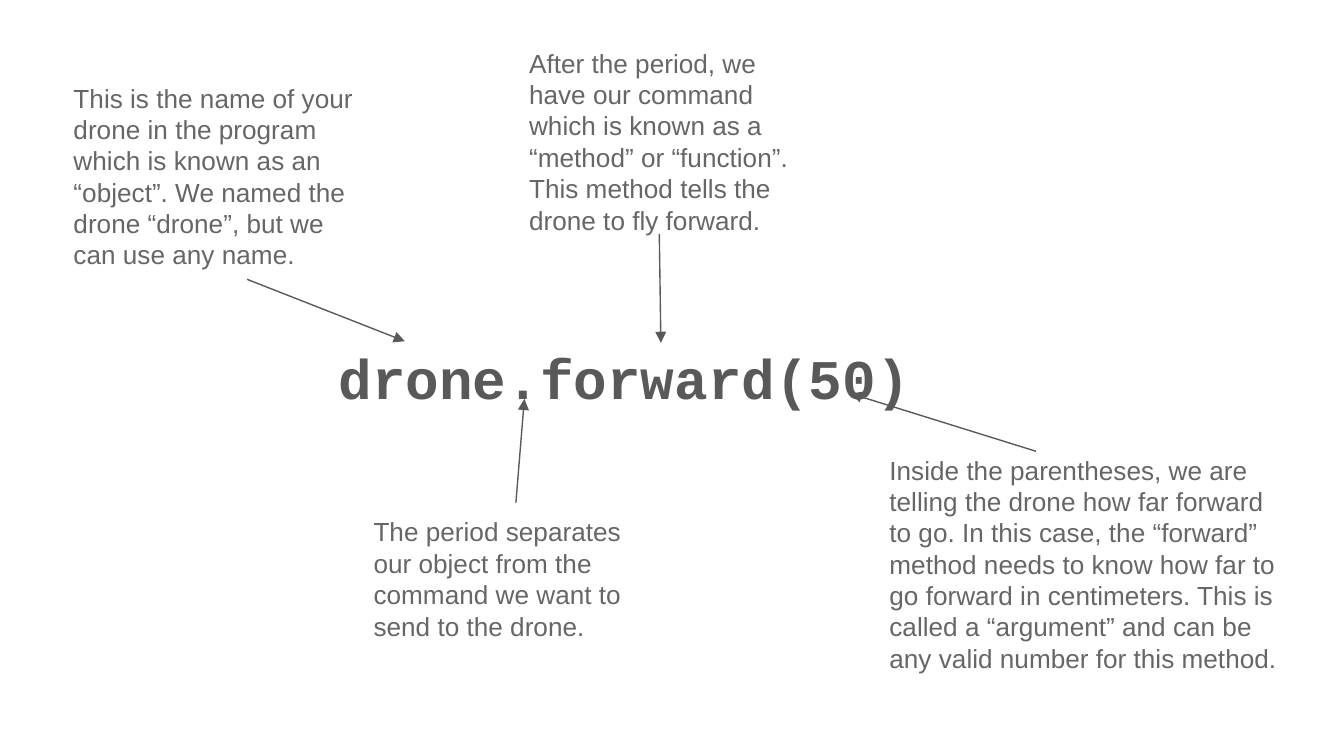
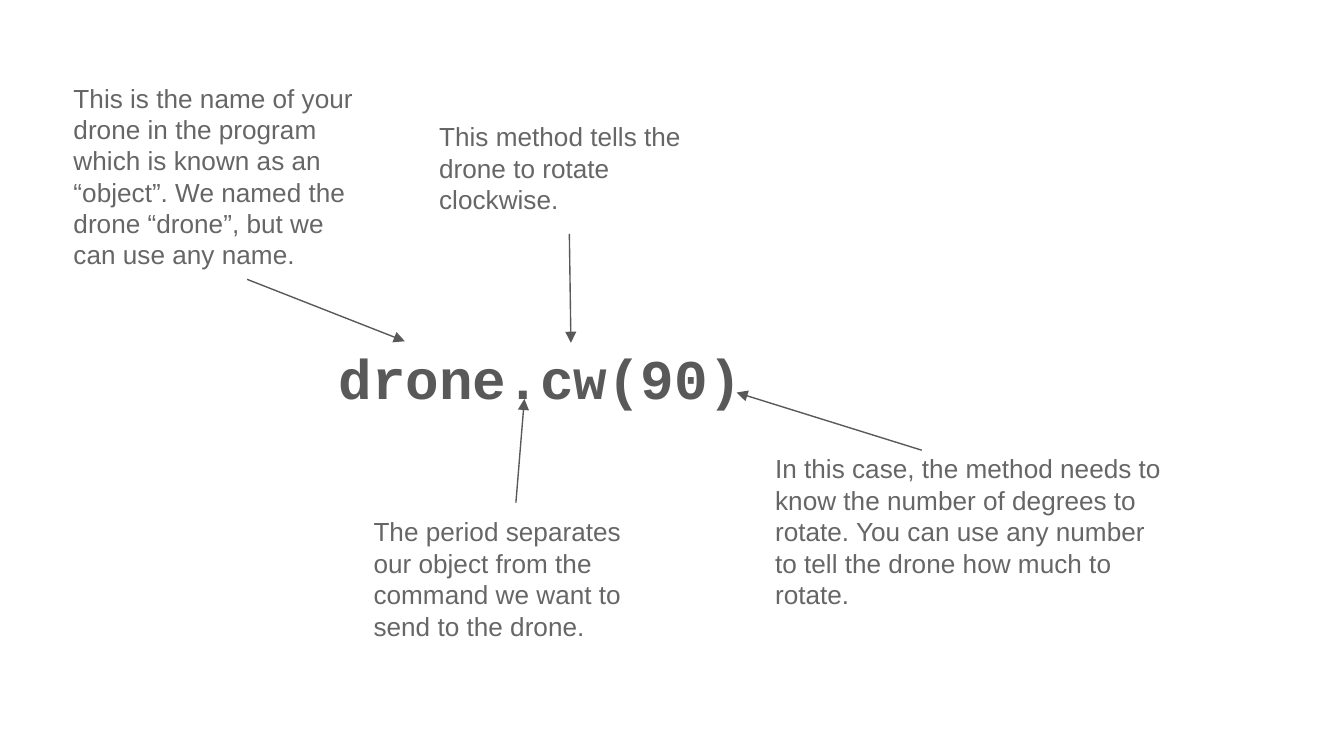
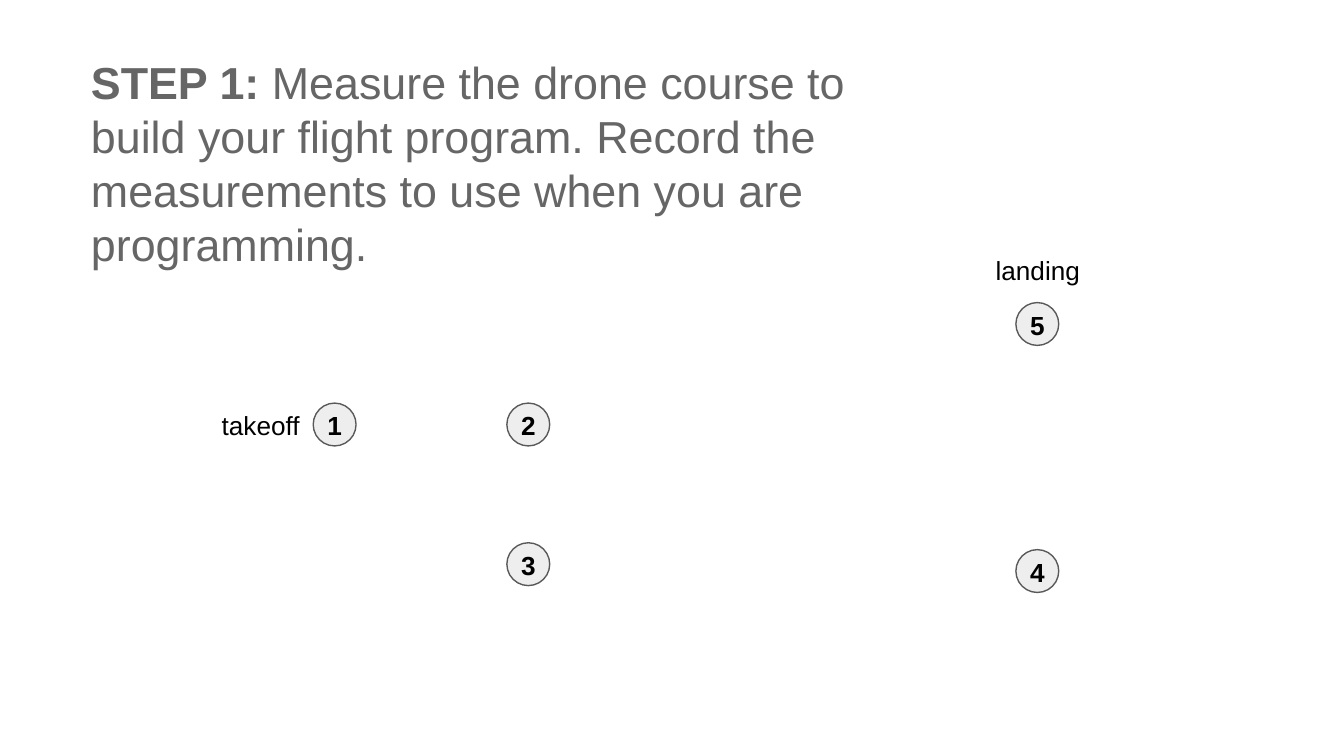
from lxml import etree
from pptx import Presentation
from pptx.dml.color import RGBColor
from pptx.enum.shapes import MSO_CONNECTOR, MSO_SHAPE
from pptx.enum.text import MSO_ANCHOR, PP_ALIGN
from pptx.oxml.ns import qn
from pptx.util import Cm, Pt

LEFT, CENTER = PP_ALIGN.LEFT, PP_ALIGN.CENTER
TOP, MIDDLE = MSO_ANCHOR.TOP, MSO_ANCHOR.MIDDLE
OVAL = MSO_SHAPE.OVAL
STRAIGHT = MSO_CONNECTOR.STRAIGHT

DARK, GRAY, PALE, BLACK = "595959", "666666", "EEEEEE", "000000"
SANS, MONO = "Arial", "Courier New"
INSET = 0.25
NOTE_W, NOTE_H = 5.89, 3.23
ARGUMENT_W, ARGUMENT_H = 7.87, 5.03
LABEL_W, LABEL_H = 2.29, 1.07
MARKER = 0.81

OBJECT_NOTE = (
    "This is the name of your drone in the program which is known as an "
    "“object”. We named the drone “drone”, but we can use any name."
)
PERIOD_NOTE = (
    "The period separates our object from the command we want to send to the drone."
)
FORWARD_NOTE = (
    "After the period, we have our command which is known as a “method” or "
    "“function”. This method tells the drone to fly forward."
)
DISTANCE_NOTE = (
    "Inside the parentheses, we are telling the drone how far forward to go. "
    "In this case, the “forward” method needs to know how far to go forward in "
    "centimeters. This is called a “argument” and can be any valid number for "
    "this method."
)
ROTATE_NOTE = "This method tells the drone to rotate clockwise."
DEGREES_NOTE = (
    "In this case, the method needs to know the number of degrees to rotate. "
    "You can use any number to tell the drone how much to rotate."
)
COURSE_POINTS = [(5.92, 7.62), (9.58, 7.62), (9.58, 10.26), (19.2, 10.39), (19.2, 5.72)]


def rgb(value):
    return RGBColor.from_string(value)


def add_text(s, x, y, w, h, text, size=14, color=GRAY, font=SANS, bold=False,
             align=LEFT, anchor=TOP):
    tf = s.shapes.add_textbox(Cm(x), Cm(y), Cm(w), Cm(h)).text_frame
    tf.word_wrap = True
    tf.vertical_anchor = anchor
    tf.margin_left = tf.margin_right = tf.margin_top = tf.margin_bottom = Cm(INSET)
    p = tf.paragraphs[0]
    p.text = text
    p.alignment = align
    p.font.name = font
    p.font.size = Pt(size)
    p.font.bold = bold
    p.font.color.rgb = rgb(color)
    return p


def add_arrow(s, x1, y1, x2, y2):
    line = s.shapes.add_connector(STRAIGHT, Cm(x1), Cm(y1), Cm(x2), Cm(y2))
    line.line.color.rgb = rgb(DARK)
    line.line.width = Pt(0.75)
    etree.SubElement(line.line._get_or_add_ln(), qn("a:tailEnd"), type="triangle")
    etree.SubElement(line._element.spPr, qn("a:effectLst"))


def add_marker(s, x, y, number):
    sp = s.shapes.add_shape(OVAL, Cm(x), Cm(y), Cm(MARKER), Cm(MARKER))
    sp.shadow.inherit = False
    sp.fill.solid()
    sp.fill.fore_color.rgb = rgb(PALE)
    sp.line.color.rgb = rgb(DARK)
    sp.line.width = Pt(0.75)
    add_text(s, x, y - 0.13, MARKER, LABEL_H, str(number),
             color=BLACK, bold=True, align=CENTER)


def add_slide(prs):
    return prs.slides.add_slide(prs.slide_layouts[6])


def add_code_slide(prs, code, method_at, method_note, argument_at, argument_note):
    s = add_slide(prs)
    add_text(s, 6.15, 5.94, 11.99, 2.39, code, size=30, color=DARK, font=MONO,
             bold=True, anchor=MIDDLE)

    add_text(s, 1.14, 1.3, NOTE_W, NOTE_H, OBJECT_NOTE)
    add_arrow(s, 4.67, 5.28, 7.65, 6.45)

    add_text(s, 6.81, 9.5, NOTE_W, NOTE_H, PERIOD_NOTE)
    add_arrow(s, 9.75, 9.5, 9.91, 7.54)

    x, y = method_at
    add_text(s, x, y, NOTE_W, NOTE_H, method_note)
    add_arrow(s, x + 2.71, 4.42, x + 2.74, 6.48)

    x, y = argument_at
    add_text(s, x, y, ARGUMENT_W, ARGUMENT_H, argument_note)
    add_arrow(s, x + 3.02, y + 0.2, x - 0.48, y - 0.89)


def add_course_slide(prs):
    s = add_slide(prs)
    add_text(s, 3.94, 7.49, LABEL_W, LABEL_H, "takeoff", color=BLACK)
    p = add_text(s, 1.47, 0.79, 15.37, 4.34, "STEP 1: ", size=24)
    p.runs[0].font.bold = True
    r = p.add_run()
    r.text = ("Measure the drone course to build your flight program. "
              "Record the measurements to use when you are programming.")
    add_text(s, 18.47, 4.55, LABEL_W, LABEL_H, "landing", color=BLACK, align=CENTER)
    for number, (x, y) in enumerate(COURSE_POINTS, 1):
        add_marker(s, x, y, number)


def main():
    prs = Presentation()
    prs.slide_width, prs.slide_height = Cm(25.4), Cm(14.29)
    add_code_slide(prs, "drone.forward(50)", (9.75, 0.64), FORWARD_NOTE,
                   (16.56, 8.33), DISTANCE_NOTE)
    add_code_slide(prs, "drone.cw(90)", (8.05, 2.03), ROTATE_NOTE,
                   (14.4, 8.31), DEGREES_NOTE)
    add_course_slide(prs)
    prs.save("out.pptx")


if __name__ == "__main__":
    main()
